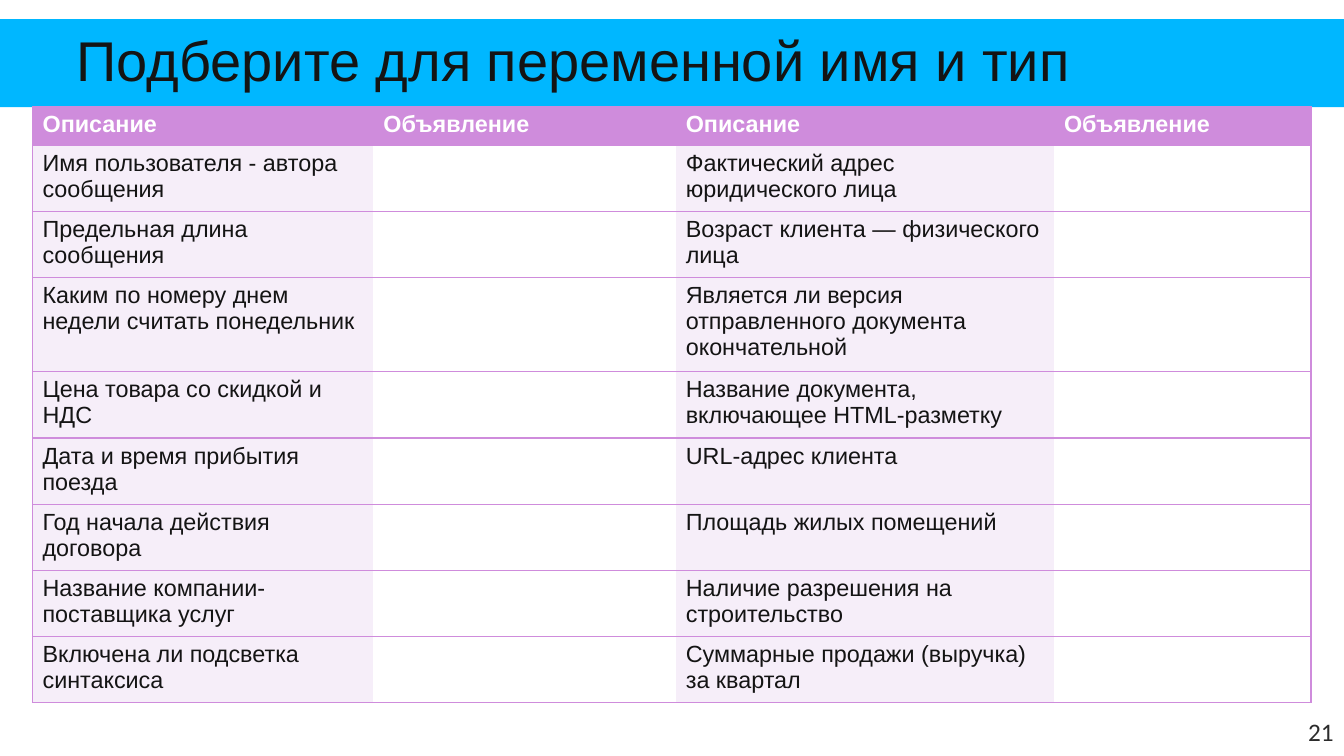
import pptx
import pptx.util
import pptx.dml.color
import pptx.enum.text
import pptx.enum.shapes
import pptx.oxml
import pptx.oxml.ns
from pptx.util import Cm

ALIGN = pptx.enum.text.PP_ALIGN
MIDDLE = pptx.enum.text.MSO_ANCHOR.MIDDLE
PLAIN = "{2D5ABB26-0587-4C30-8999-92F81FD0307C}"

HEAD = ["Описание", "Объявление"] * 2
PAIRS = [
    ("Имя пользователя - автора сообщения", "Фактический адрес юридического лица"),
    ("Предельная длина сообщения", "Возраст клиента — физического лица"),
    ("Каким по номеру днем недели считать понедельник",
     "Является ли версия отправленного документа окончательной"),
    ("Цена товара со скидкой и НДС", "Название документа, включающее HTML-разметку"),
    ("Дата и время прибытия поезда", "URL-адрес клиента"),
    ("Год начала действия договора", "Площадь жилых помещений"),
    ("Название компании-поставщика услуг", "Наличие разрешения на строительство"),
    ("Включена ли подсветка синтаксиса", "Суммарные продажи (выручка) за квартал"),
]
WIDTHS = [8.59, 7.62, 9.53, 6.48]
HEIGHTS = [0.93, 1.66, 1.61, 2.29] + [1.61] * 5


def color(code):
    return pptx.dml.color.RGBColor.from_string(code)


def paint(item, code):
    item.fill.solid()
    item.fill.fore_color.rgb = color(code)


def write(frame, text, size=16.7, font="Arial", ink="141414", bold=False,
          align=ALIGN.LEFT, space=None):
    frame.word_wrap = True
    par = frame.paragraphs[0]
    par.alignment = align
    par.line_spacing = space
    run = par.add_run()
    run.text = text
    run.font.size = pptx.util.Pt(size)
    run.font.name = font
    run.font.bold = bold
    run.font.color.rgb = color(ink)


def inset(frame, left, top, right, bottom):
    frame.margin_left, frame.margin_top = Cm(left), Cm(top)
    frame.margin_right, frame.margin_bottom = Cm(right), Cm(bottom)


def border(cell, sides, code):
    """Draw 1 pt lines on the given sides, listed in the order L, R, T, B."""
    props = cell._tc.get_or_add_tcPr()
    for spot, side in enumerate(sides):
        props.insert(spot, pptx.oxml.parse_xml(
            f'<a:ln{side} {pptx.oxml.ns.nsdecls("a")} w="12700"><a:solidFill>'
            f'<a:srgbClr val="{code}"/></a:solidFill></a:ln{side}>'))


class Deck:
    """One slide with its colours."""
    sky, lilac, pale, white = "00B7FF", "CF8CDC", "F6EEF9", "FFFFFF"

    def __init__(self):
        self.show = pptx.Presentation()
        self.show.slide_width, self.show.slide_height = Cm(33.87), Cm(19.05)
        self.slide = self.show.slides.add_slide(self.show.slide_layouts[5])
        self.shapes = self.slide.shapes

    def band(self, *box):
        rect = self.shapes.add_shape(
            pptx.enum.shapes.MSO_SHAPE.RECTANGLE, *map(Cm, box))
        rect.shadow.inherit = False
        paint(rect, self.sky)
        rect.line.fill.background()
        self.shapes._spTree.insert(2, rect._element)  # behind the title

    def title(self, text, *box):
        head = self.shapes.title
        head.left, head.top, head.width, head.height = map(Cm, box)
        frame = head.text_frame
        frame.auto_size = pptx.enum.text.MSO_AUTO_SIZE.NONE
        frame.vertical_anchor = MIDDLE
        inset(frame, 0, 0, 0, 0)
        write(frame, text, size=40, space=0.85)

    def number(self, text, *box):
        frame = self.shapes.add_textbox(*map(Cm, box)).text_frame
        frame.vertical_anchor = MIDDLE
        inset(frame, 0.13, 0.13, 0.25, 0.13)
        write(frame, text, size=18, font="Calibri", ink="2C2C2C",
              align=ALIGN.RIGHT)

    def table(self, rows, left, top):
        grid = self.shapes.add_table(
            len(rows), len(WIDTHS), Cm(left), Cm(top),
            Cm(sum(WIDTHS)), Cm(sum(HEIGHTS))).table
        grid.horz_banding = False
        grid._tbl.tblPr.find(pptx.oxml.ns.qn("a:tableStyleId")).text = PLAIN
        for col, width in zip(grid.columns, WIDTHS):
            col.width = Cm(width)
        for row, height in zip(grid.rows, HEIGHTS):
            row.height = Cm(height)
        last = len(WIDTHS) - 1
        for r, row in enumerate(rows):
            for c, text in enumerate(row):
                cell = grid.cell(r, c)
                top_row = r == 0
                paint(cell, self.lilac if top_row else
                      self.white if c % 2 else self.pale)
                border(cell, {0: "LTB", last: "RTB"}.get(c, "TB"), self.lilac)
                if text:
                    write(cell.text_frame, text, bold=top_row,
                          ink=self.white if top_row else "141414")


def main():
    deck = Deck()
    deck.band(0, 0.48, 33.87, 2.22)
    deck.title("Подберите для переменной имя и тип", 1.93, 0.79, 30, 1.68)
    deck.number("21", 31.55, 17.93, 2.31, 1.02)
    rows = [HEAD] + [[one, "", two, ""] for one, two in PAIRS]
    deck.table(rows, 0.82, 2.69)
    deck.show.save("out.pptx")


if __name__ == "__main__":
    main()
